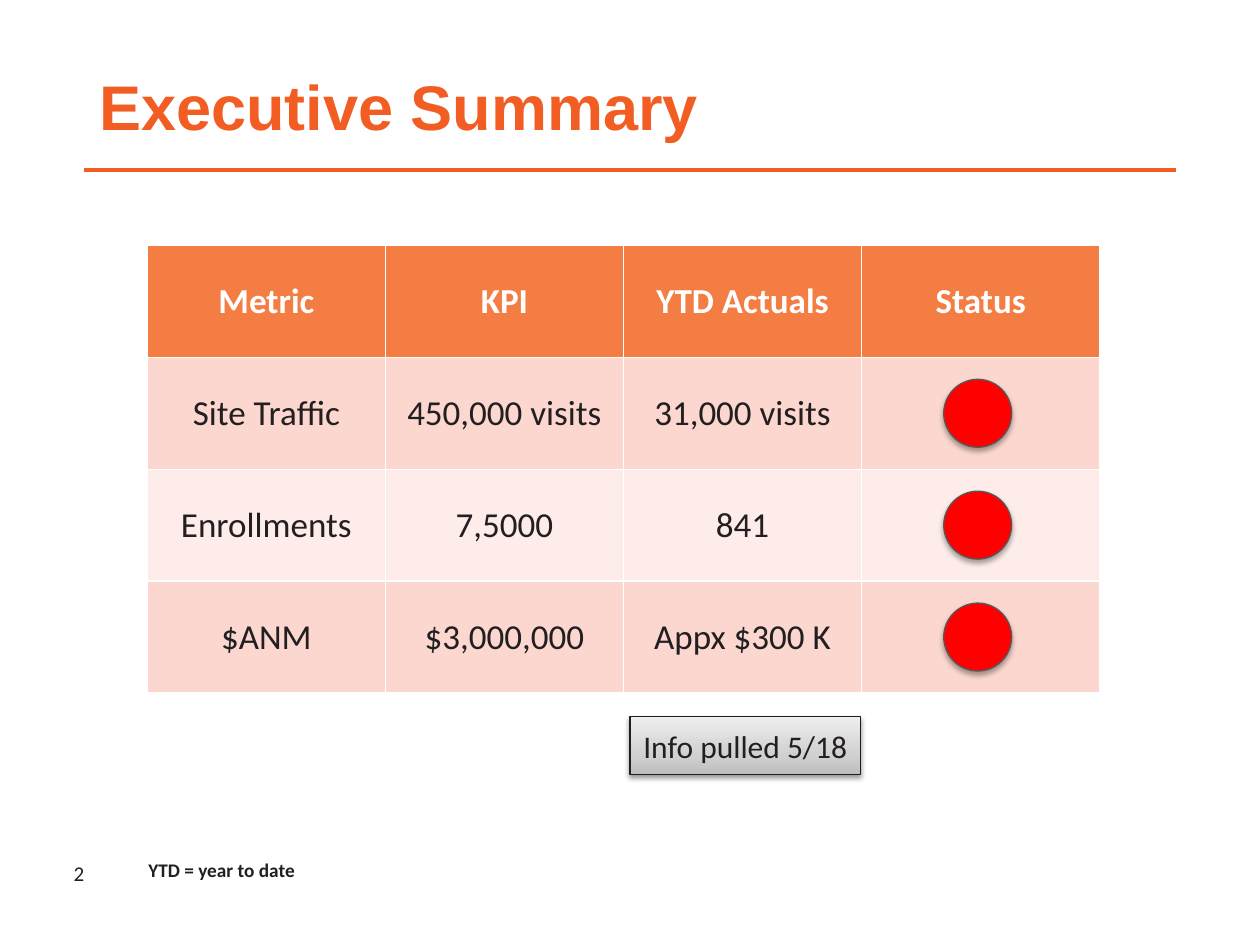
import pptx
import pptx.util
import pptx.dml.color
import pptx.enum.shapes
import pptx.enum.text
import pptx.oxml
import pptx.oxml.ns

Cm, Pt = pptx.util.Cm, pptx.util.Pt
Kind = pptx.enum.shapes.MSO_SHAPE
Anchor = pptx.enum.text.MSO_ANCHOR
Align = pptx.enum.text.PP_ALIGN

# Content
TITLE = "Executive Summary"
HEAD = ["Metric", "KPI", "YTD Actuals", "Status"]
ROWS = [
    ["Site Traffic", "450,000 visits", "31,000 visits", "red"],
    ["Enrollments", "7,5000", "841", "red"],
    ["$ANM", "$3,000,000", "Appx $300 K", "red"],
]
STAMP = "Info pulled 5/18"
NOTE = "YTD = year to date"
PAGE = "2"

# Theme: colours and type
THEME = {
    "rule": "F15D22", "head": "F47D44", "bands": ["FBD7CF", "FDECE9"],
    "red": "FF0000", "ring": "565759", "edge": "221E1F",
    "grade": [(0, "BEBDBD"), (35, "D1D1D1"), (100, "EEEEEE")],
    "title": {"name": "Arial", "size": Pt(36), "bold": True, "color": "F15D22"},
    "top": {"name": "Calibri", "size": Pt(20), "bold": True, "color": "FFFFFF"},
    "cell": {"name": "Calibri", "size": Pt(20), "bold": False, "color": "231F20"},
    "stamp": {"name": "Calibri", "size": Pt(18), "bold": False, "color": "231F20"},
    "note": {"name": "Calibri", "size": Pt(11), "bold": True, "color": "231F20"},
    "page": {"name": "Calibri", "size": Pt(12), "bold": False, "color": "231F20"},
}

# Table grid and status dots, in cm
LEFT, TOP, WIDE, HIGH = 2.97, 4.95, 4.8, 2.255
DOT, NUDGE = 1.37, -0.06


def tint(code):
    return pptx.dml.color.RGBColor.from_string(code)


def paint(fill, code):
    fill.solid()
    fill.fore_color.rgb = tint(code)


def place(shape, box):
    for name, value in zip(("left", "top", "width", "height"), box):
        setattr(shape, name, Cm(value))


def write(frame, text, style, align=Align.LEFT):
    para = frame.paragraphs[0]
    para.alignment = align
    run = para.add_run()
    run.text = text
    for name, value in style.items():
        if name == "color":
            run.font.color.rgb = tint(value)
        else:
            setattr(run.font, name, value)


def adapt(frame, **format):
    for name, value in format.items():
        setattr(frame, name, value)


def node(body):
    return pptx.oxml.parse_xml(body.replace(">", f" {pptx.oxml.ns.nsdecls('a')}>", 1))


def shade(shape, alpha, blur, gap):
    shape._element.spPr.append(node(
        f'<a:effectLst><a:outerShdw blurRad="{Pt(blur)}" dist="{Pt(gap)}" '
        f'dir="5400000" rotWithShape="0"><a:srgbClr val="000000">'
        f'<a:alpha val="{alpha * 1000}"/></a:srgbClr></a:outerShdw></a:effectLst>'))


def outline(shape, code, width=0.75):
    shape.line.color.rgb = tint(code)
    shape.line.width = Pt(width)


def label(slide, box, text, style, align=Align.LEFT, **format):
    shape = slide.shapes.add_textbox(*map(Cm, box))
    adapt(shape.text_frame, word_wrap=True, **format)
    write(shape.text_frame, text, style, align)


def add_grid(slide):
    count = len(ROWS) + 1
    table = slide.shapes.add_table(
        count, len(HEAD), Cm(LEFT), Cm(TOP),
        Cm(WIDE * len(HEAD)), Cm(HIGH * count)).table
    # The default table style supplies the white cell borders
    for r, row in enumerate([HEAD] + ROWS):
        style = THEME["cell" if r else "top"]
        for c, text in enumerate(row):
            cell = table.cell(r, c)
            cell.vertical_anchor = Anchor.MIDDLE
            paint(cell.fill, THEME["bands"][(r - 1) % 2] if r else THEME["head"])
            if r and c == len(HEAD) - 1:
                add_dot(slide, r, c, text)
            else:
                write(cell.text_frame, text, style, Align.CENTER)


def add_dot(slide, r, c, state):
    x = LEFT + WIDE * (c + 0.5) - DOT / 2 + NUDGE
    y = TOP + HIGH * (r + 0.5) - DOT / 2
    dot = slide.shapes.add_shape(Kind.OVAL, Cm(x), Cm(y), Cm(DOT), Cm(DOT))
    paint(dot.fill, THEME[state])
    outline(dot, THEME["ring"])
    shade(dot, 35, 3.1, 1.8)


def add_stamp(slide):
    box = slide.shapes.add_shape(Kind.RECTANGLE, Cm(12.7), Cm(14.45), Cm(4.65), Cm(1.17))
    stops = "".join(f'<a:gs pos="{at * 1000}"><a:srgbClr val="{code}"/></a:gs>'
                    for at, code in THEME["grade"])
    # Gradient runs from the bottom edge upward
    box._element.spPr.append(node(
        f'<a:gradFill rotWithShape="1"><a:gsLst>{stops}</a:gsLst>'
        f'<a:lin ang="16200000" scaled="0"/></a:gradFill>'))
    outline(box, THEME["edge"])
    shade(box, 38, 3.1, 1.6)
    adapt(box.text_frame, word_wrap=False, vertical_anchor=Anchor.MIDDLE)
    write(box.text_frame, STAMP, THEME["stamp"], Align.CENTER)


def main():
    deck = pptx.Presentation()
    deck.slide_width, deck.slide_height = Cm(25.4), Cm(19.05)
    slide = deck.slides.add_slide(deck.slide_layouts[5])

    # Title and rule
    title = slide.shapes.title
    place(title, (1.75, 1.17, 22.02, 1.85))
    adapt(title.text_frame, vertical_anchor=Anchor.BOTTOM, word_wrap=True,
          auto_size=pptx.enum.text.MSO_AUTO_SIZE.NONE)
    write(title.text_frame, TITLE, THEME["title"])
    rule = slide.shapes.add_connector(
        pptx.enum.shapes.MSO_CONNECTOR.STRAIGHT, Cm(1.7), Cm(3.43), Cm(23.7), Cm(3.43))
    outline(rule, THEME["rule"], 2)
    rule._element.spPr.append(node("<a:effectLst></a:effectLst>"))

    # Table, dots and date stamp
    add_grid(slide)
    add_stamp(slide)

    # Footer
    label(slide, (2.74, 17.17, 19.71, 0.74), NOTE, THEME["note"])
    label(slide, (0, 17.35, 1.7, 1.7), PAGE, THEME["page"], Align.RIGHT,
          margin_left=0, margin_top=0, margin_right=0, margin_bottom=0)

    deck.save("out.pptx")


if __name__ == "__main__":
    main()
